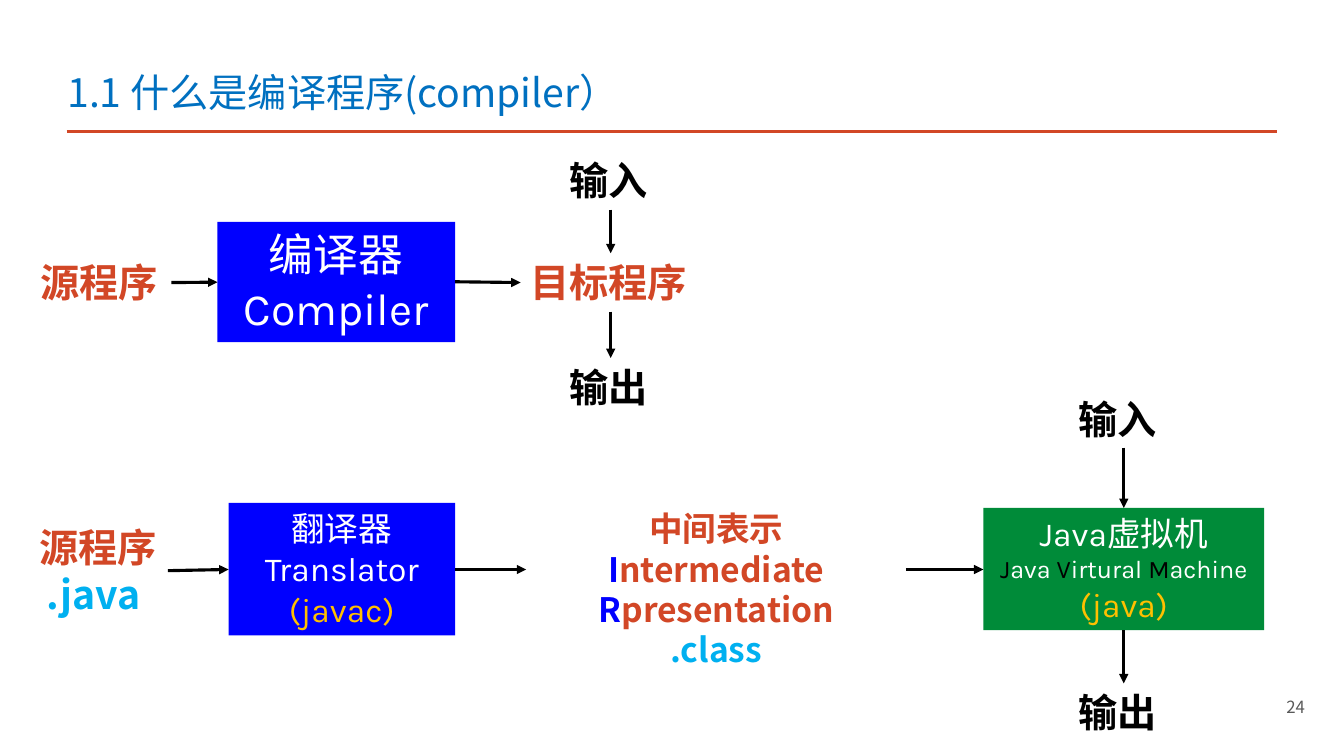
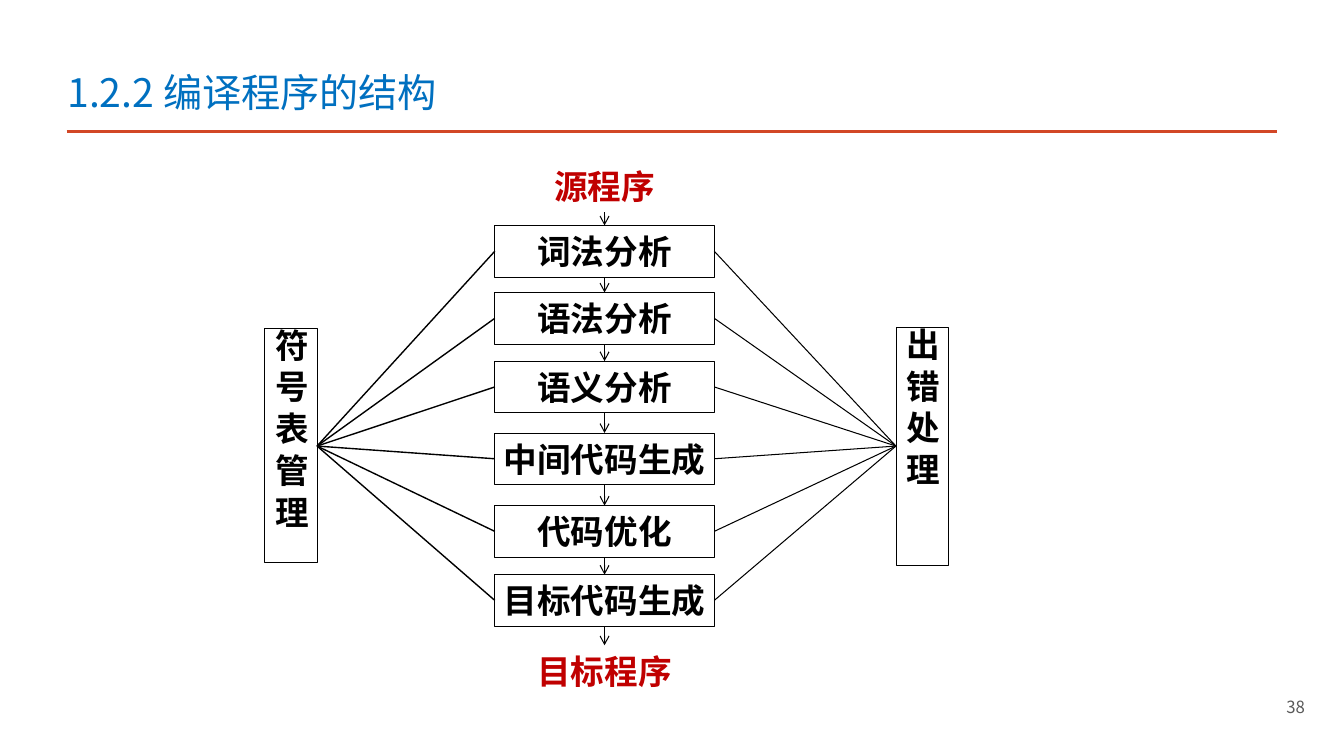
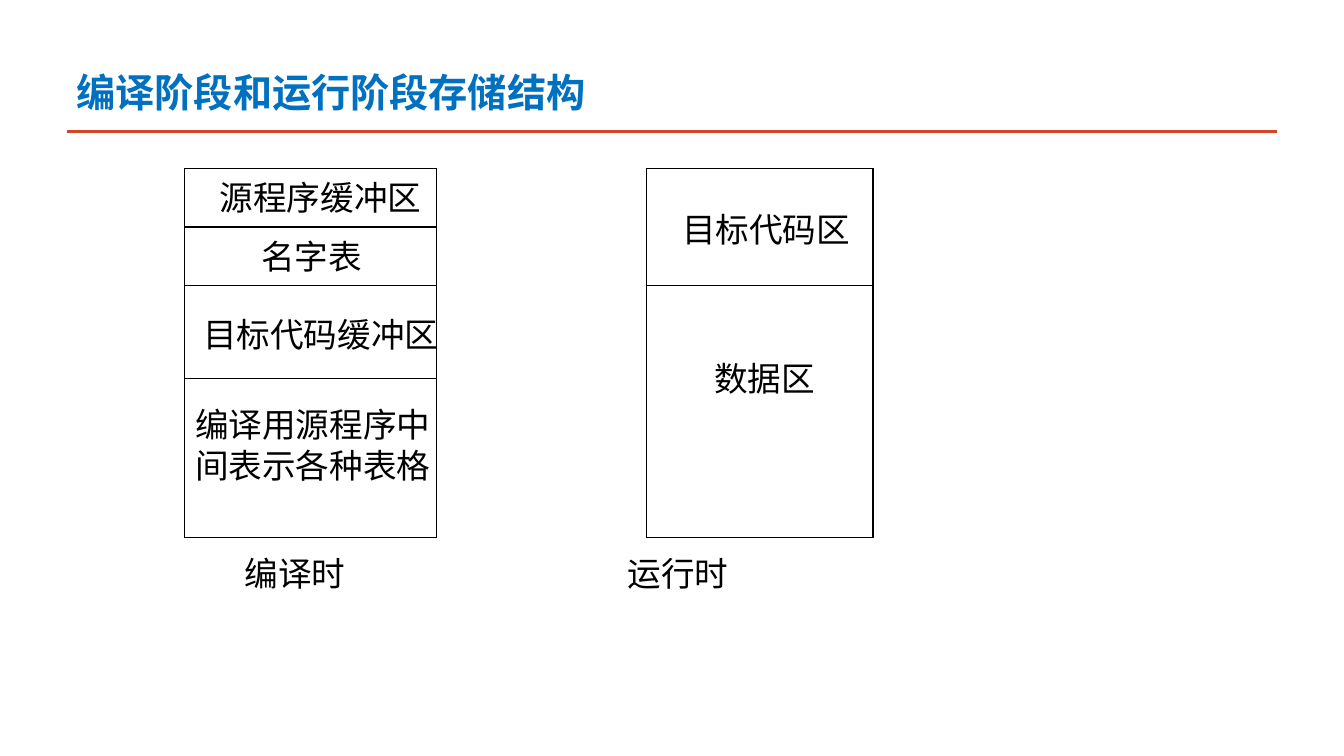
from itertools import product
from lxml.etree import SubElement
from pptx import Presentation
from pptx.dml.color import RGBColor
from pptx.enum.shapes import MSO_CONNECTOR as Link, MSO_SHAPE as Preset
from pptx.enum.text import MSO_ANCHOR as Anchor, PP_ALIGN as Align
from pptx.oxml.ns import qn
from pptx.util import Cm, Pt

BLACK = RGBColor(0x00, 0x00, 0x00)
WHITE = RGBColor(0xFF, 0xFF, 0xFF)
GRAY = RGBColor(0x59, 0x59, 0x59)
TITLE_BLUE = RGBColor(0x00, 0x70, 0xC0)
BOX_BLUE = RGBColor(0x00, 0x00, 0xFF)
SKY = RGBColor(0x00, 0xB0, 0xF0)
ORANGE = RGBColor(0xD2, 0x47, 0x26)
RED = RGBColor(0xC0, 0x00, 0x00)
GREEN = RGBColor(0x00, 0x8B, 0x39)
GOLD = RGBColor(0xFF, 0xC0, 0x00)
SANS, KARLA, TIMES = "Noto Sans CJK SC", "Karla", "Times New Roman"
INSETS = (0.25, 0.13, 0.25, 0.13)
FLUSH = (0, 0, 0, 0)

FLOW_LABELS = [
    (["源程序"], 0.77, 6.38, 3.53, ORANGE),
    (["目标程序"], 13.12, 6.38, 4.55, ORANGE),
    (["输入"], 14.1, 3.81, 2.59, BLACK),
    (["输出"], 14.1, 9.02, 2.59, BLACK),
    (["输入"], 26.92, 9.83, 2.77, BLACK),
    (["输出"], 26.92, 17.22, 2.77, BLACK),
]
FLOW_ARROWS = [
    (4.32, 7.12, 5.48, 7.11), (11.47, 7.1, 13.12, 7.12),
    (15.39, 5.28, 15.39, 6.38), (15.39, 7.85, 15.39, 9.02),
    (4.23, 14.38, 5.76, 14.35), (11.47, 14.35, 13.26, 14.35),
    (22.83, 14.35, 24.78, 14.35),
    (28.32, 11.28, 28.32, 12.8), (28.32, 15.88, 28.32, 17.22),
]
COMPILER = ["编译器", "Compiler"]
TRANSLATOR = ["翻译器", "Translator", [("(javac)", GOLD)]]
JAVA_SOURCE = ["源程序", [(".java ", SKY)]]
MIDDLE_FORM = [
    "中间表示",
    [("I", BOX_BLUE), ("ntermediate", ORANGE)],
    [("R", BOX_BLUE), ("presentation", ORANGE)],
    [(".class", SKY)],
]
VIRTUAL_MACHINE = [
    "Java虚拟机",
    [("J", BLACK, 18), ("ava ", WHITE, 18), ("V", BLACK, 18),
     ("irtural ", WHITE, 18), ("M", BLACK, 18), ("achine", WHITE, 18)],
    [("(java)", GOLD)],
]

PHASES = [("词法分析", 5.68), ("语法分析", 7.37), ("语义分析", 9.1),
          ("中间代码生成", 10.91), ("代码优化", 12.74), ("目标代码生成", 14.48)]
PHASE_LEFT, PHASE_WIDTH, PHASE_HEIGHT = 12.47, 5.53, 1.3
PHASE_RIGHT = PHASE_LEFT + PHASE_WIDTH
PHASE_CENTRE = PHASE_LEFT + PHASE_WIDTH / 2
PROGRAMS = [("源程序", 4.05, 2.84), ("目标程序", 16.26, 3.73)]
SIDE_WIDTH = 1.32
SIDES = [("符 号 表 管 理", 6.67, 8.28, 5.89, 6.67 + SIDE_WIDTH, PHASE_LEFT, 1),
         ("出 错 处 理", 22.58, 8.26, 5.99, 22.58, PHASE_RIGHT, 0.75)]
HUB = 11.24

MEMORY_LABELS = [
    (["源程序缓冲区"], 5.29, 4.44, 4.65, 1.07),
    (["名字表"], 6.33, 5.92, 2.54, 1.07),
    (["目标代码缓冲区"], 4.87, 7.58, 4.45, 1.7),
    (["编译用源程序中", "间表示各种表格"], 4.67, 9.93, 5.28, 2.54),
    (["目标代码区"], 16.94, 4.73, 4.88, 2.11),
    (["数据区"], 17.75, 8.26, 2.54, 2.54),
]
MEMORY_TOP, MEMORY_SPLIT, MEMORY_BOTTOM = 4.24, 12.7, 13.55
MEMORY_GRIDS = [
    ([4.24, 5.72, 7.2, 9.53, 13.55], [(4.65, 8.46), (8.46, 11), (10.36, 10.77)],
     [(4.65, MEMORY_SPLIT), (11, MEMORY_SPLIT)]),
    ([4.24, 7.2, 13.55], [(16.29, 22)],
     [(16.29, 12.5), (22, MEMORY_SPLIT)]),
]
MEMORY_OVERLAP = (16.29, 12.07, 16.29, MEMORY_SPLIT)
CAPTIONS = [("编译时", 5.92), ("运行时", 15.57)]


def write(shape, lines, size, color, font=SANS, bold=False, align=Align.LEFT,
          anchor=Anchor.TOP, insets=INSETS, wrap=True):
    frame = shape.text_frame
    frame.word_wrap = wrap
    frame.vertical_anchor = anchor
    (frame.margin_left, frame.margin_top,
     frame.margin_right, frame.margin_bottom) = map(Cm, insets)
    for index, line in enumerate(lines):
        para = frame.add_paragraph() if index else frame.paragraphs[0]
        para.alignment = align
        para.font.name = font
        defaults = para._p.pPr.find(qn("a:defRPr"))
        SubElement(defaults, qn("a:ea")).set("typeface", SANS)
        para.font.size = Pt(size)
        para.font.bold = bold
        para.font.color.rgb = color
        if isinstance(line, str):
            para.add_run().text = line
            continue
        for text, tint, *span_size in line:
            span = para.add_run()
            span.text = text
            span.font.color.rgb = tint
            if span_size:
                span.font.size = Pt(span_size[0])


def add_text(page, place, lines, size, color, **style):
    box = page.shapes.add_textbox(*map(Cm, place))
    write(box, lines, size, color, **style)


def add_box(page, place, lines, size, color, fill, border=None, edge=BLACK, **style):
    box = page.shapes.add_shape(Preset.RECTANGLE, *map(Cm, place))
    box.shadow.inherit = False
    box.fill.solid()
    box.fill.fore_color.rgb = fill
    if border:
        box.line.color.rgb = edge
        box.line.width = Pt(border)
    else:
        box.line.fill.background()
    write(box, lines, size, color, **style)
    return box


def add_line(page, ends, width, color=BLACK, arrow=None):
    line = page.shapes.add_connector(Link.STRAIGHT, *map(Cm, ends))
    line.line.color.rgb = color
    line.line.width = Pt(width)
    if arrow:
        SubElement(line.line._get_or_add_ln(), qn("a:tailEnd")).set("type", arrow)
    SubElement(line._element.spPr, qn("a:effectLst"))


def add_page(deck, title, number=None, bold=False, left=0.25):
    page = deck.slides.add_slide(deck.slide_layouts[6])
    add_line(page, (1.68, 3.32, 32.18, 3.32), 2, ORANGE)
    add_text(page, (1.45, 1.26, 19.1, 1.78), [title], 28, TITLE_BLUE, bold=bold,
             anchor=Anchor.BOTTOM, insets=(left, 0.13, 0.25, 0.13))
    if number:
        add_text(page, (23.26, 17.3, 9.88, 1.02), [number], 12, GRAY,
                 align=Align.RIGHT, anchor=Anchor.MIDDLE)
    return page


def build_flow(deck):
    page = add_page(deck, "1.1 什么是编译程序(compiler）", "24")
    for lines, left, top, width, color in FLOW_LABELS:
        add_text(page, (left, top, width, 1.47), lines, 28, color, bold=True)
    for place, lines, size, fill in [
        ((5.48, 5.59, 5.99, 3.03), COMPILER, 32, BOX_BLUE),
        ((5.76, 12.67, 5.71, 3.34), TRANSLATOR, 24, BOX_BLUE),
        ((24.78, 12.8, 7.08, 3.08), VIRTUAL_MACHINE, 24, GREEN),
    ]:
        add_box(page, place, lines, size, WHITE, fill, font=KARLA, align=Align.CENTER)
    for place, lines, size in [
        ((0.72, 13.06, 3.51, 2.64), JAVA_SOURCE, 28),
        ((13.26, 12.68, 9.58, 3.33), MIDDLE_FORM, 24),
    ]:
        add_text(page, place, lines, size, ORANGE, bold=True, align=Align.CENTER)
    for ends in FLOW_ARROWS:
        add_line(page, ends, 2.25, arrow="triangle")


def build_structure(deck):
    page = add_page(deck, "1.2.2 编译程序的结构", "38")
    label = dict(bold=True, anchor=Anchor.MIDDLE, insets=FLUSH)
    for text, top, width in PROGRAMS:
        add_box(page, (PHASE_CENTRE - width / 2, top, width, PHASE_HEIGHT), [text], 24,
                RED, WHITE, 0.5, WHITE, align=Align.CENTER, **label)
    for text, top in PHASES:
        add_box(page, (PHASE_LEFT, top, PHASE_WIDTH, PHASE_HEIGHT), [text], 24, BLACK,
                WHITE, 0.5, align=Align.CENTER, **label)
    for text, left, top, height, hub, edge, width in SIDES:
        side = add_box(page, (left, top, SIDE_WIDTH, height), [text], 24, BLACK,
                       WHITE, 0.5, **label)
        side.text_frame._txBody.bodyPr.set("vert", "eaVert")
        for _, phase_top in PHASES:
            add_line(page, (hub, HUB, edge, phase_top + PHASE_HEIGHT / 2), width)
    tops = [PROGRAMS[0][1], *(top for _, top in PHASES), PROGRAMS[1][1]]
    for top, next_top in zip(tops, tops[1:]):
        add_line(page, (PHASE_CENTRE, top + PHASE_HEIGHT, PHASE_CENTRE, next_top),
                 0.75, arrow="arrow")


def build_memory(deck):
    page = add_page(deck, "编译阶段和运行阶段存储结构", bold=True, left=0.48)
    for lines, *place in MEMORY_LABELS:
        add_box(page, place, lines, 24, BLACK, WHITE, 0.75, WHITE, font=TIMES,
                anchor=Anchor.MIDDLE, wrap=False)
    for levels, spans, sides in MEMORY_GRIDS:
        for level, (start, end) in product(levels, spans):
            add_line(page, (start, level, end, level), 0.75)
        for side, end in sides:
            add_line(page, (side, MEMORY_TOP, side, end), 0.75)
            add_line(page, (side, MEMORY_SPLIT, side, MEMORY_BOTTOM), 0.75)
    add_line(page, MEMORY_OVERLAP, 0.75)
    for caption, left in CAPTIONS:
        add_text(page, (left, 13.7, 4, 1.5), [caption], 24, BLACK, anchor=Anchor.MIDDLE)


def main():
    deck = Presentation()
    deck.slide_width, deck.slide_height = Cm(33.87), Cm(19.05)
    build_flow(deck)
    build_structure(deck)
    build_memory(deck)
    deck.save("out.pptx")


if __name__ == "__main__":
    main()
